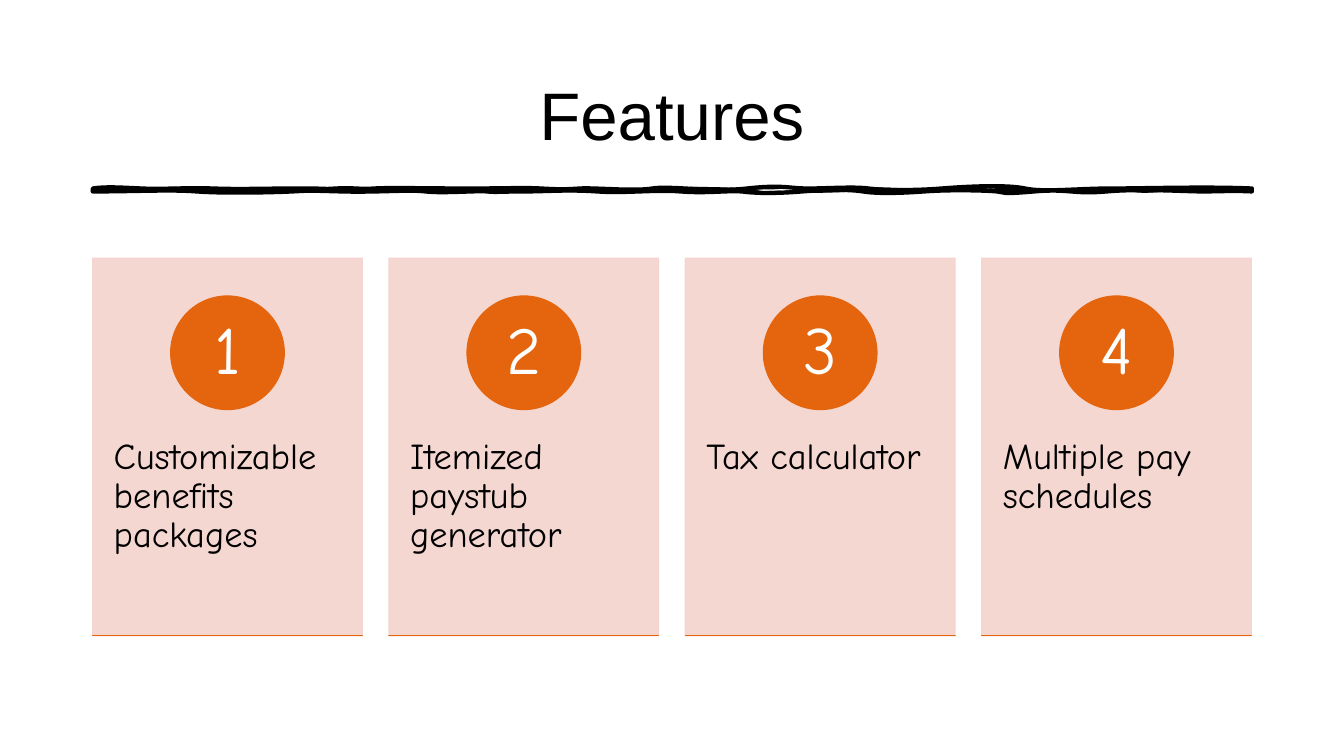
"""Build the Features slide: a title, a brush rule and four numbered cards."""
from copy import deepcopy

from lxml import etree
from pptx import Presentation
from pptx.dml.color import RGBColor
from pptx.enum import shapes, text
from pptx.oxml.ns import qn
from pptx.util import Pt

TITLE = "Features"
FEATURES = [
    "Customizable benefits packages",
    "Itemized paystub generator",
    "Tax calculator",
    "Multiple pay schedules",
]
COLORS = {"ink": "000000", "card": "F5D3CC", "accent": "E4650E", "number": "FFFFFF"}
HEAD_FONT, BODY_FONT = "Arial", "Comic Neue"

MARGIN, CONTENT_W = 66, 828
CARD_LEFT, CARD_TOP, CARD_W, CARD_H, CARD_PITCH = 66.24, 184.5, 192.5, 269.5, 211.68
CIRCLE_TOP, CIRCLE_D, NUMBER_D = 211.5, 81, 57
LABEL_TOP, LABEL_H = 287, 162

# Each curve: first control x, its rise, second control x, its rise, end x.
RULE_LEFT, RULE_RIGHT, RULE_TOP, RULE_BOTTOM, UNIT = 92, 1242, 187, 190, 0.72
OUTLINE = (
    [(105, -2, 119, -1, 141), (162, 1, 184, -1, 212), (241, 1, 255, 0, 296),
     (336, 0, 315, 1, 333), (351, -1, 356, 1, 371), (385, -1, 430, 0, 465),
     (500, 0, 520, -1, 537), (555, 1, 560, 1, 575), (590, -1, 629, 3, 647),
     (664, -3, 705, 4, 741), (777, -4, 782, 0, 802), (821, 0, 847, -2, 862),
     (878, 2, 909, 2, 934), (959, -2, 999, -4, 1017), (1036, 4, 1068, 0, 1101),
     (1134, 0, 1197, -2, 1242)],
    [(1223, -1, 1210, 0, 1193), (1176, 0, 1132, -3, 1098), (1064, 3, 1061, -3, 1026),
     (991, 3, 998, 1, 989), (979, -1, 944, -2, 917), (889, 2, 869, 2, 856),
     (844, -2, 821, -2, 796), (771, 2, 751, 2, 736), (720, -1, 701, 2, 675),
     (649, -2, 621, 2, 592), (563, -2, 543, 0, 520), (497, 0, 492, 1, 483),
     (474, -1, 440, 2, 422), (405, -2, 376, 1, 339), (302, -1, 310, -1, 290),
     (270, 1, 222, 2, 195), (169, -2, 136, 0, 92)],
)
INFILL = (
    [(117, 2, 128, 2, 152), (176, -2, 175, -2, 189), (204, 2, 249, -2, 284),
     (319, 2, 323, 1, 345), (367, -1, 392, -2, 405), (418, 2, 458, 1, 500),
     (542, -1, 530, 0, 549), (567, 0, 609, 2, 644), (678, -2, 711, -2, 739),
     (766, 2, 782, 3, 810), (839, -3, 869, -1, 905), (942, 1, 950, -1, 966),
     (982, 1, 998, -2, 1026), (1054, 2, 1075, 3, 1109), (1144, -3, 1157, -3, 1170),
     (1183, 3, 1226, 0, 1242)],
    [(1219, 2, 1193, -3, 1158), (1124, 3, 1129, 0, 1121), (1113, 0, 1096, 2, 1072),
     (1048, -2, 997, 4, 977), (957, -4, 924, 4, 905), (887, -4, 874, 0, 856),
     (839, 0, 807, 3, 785), (763, -3, 759, -2, 747), (736, 2, 725, 1, 710),
     (694, -1, 657, -3, 638), (619, 3, 601, -1, 589), (577, 1, 546, 1, 506),
     (465, -1, 479, 0, 457), (434, 0, 396, 2, 373), (351, -2, 348, -1, 336),
     (324, 1, 287, 2, 253), (218, -2, 223, 1, 204), (184, -1, 184, -1, 166),
     (149, 1, 127, 2, 92)],
)


def rgb(name):
    return RGBColor.from_string(COLORS[name])


def edge_points(base, curves):
    """Give two control points and an end point for each curve of an edge."""
    return [point for x1, rise1, x2, rise2, end in curves
            for point in ((x1, base + rise1), (x2, base + rise2), (end, base))]


def contour(edges):
    top, bottom = edges
    points = edge_points(RULE_TOP, top)
    points += [(RULE_RIGHT, RULE_TOP + i) for i in (1, 2, 3)]
    points += edge_points(RULE_BOTTOM, bottom)
    points += [(RULE_LEFT, RULE_BOTTOM - i) for i in (1, 2, 3)]
    return [(Pt(x * UNIT), Pt(y * UNIT)) for x, y in points]


def bend(path):
    """Join each three line segments of a path into one cubic curve."""
    lines = path.findall(qn("a:lnTo"))
    for i in range(0, len(lines), 3):
        curve = etree.Element(qn("a:cubicBezTo"))
        lines[i].addprevious(curve)
        for line in lines[i:i + 3]:
            curve.append(line[0])
            path.remove(line)


def brush_rule(s):
    start = Pt(RULE_LEFT * UNIT), Pt(RULE_TOP * UNIT)
    fb = s.shapes.build_freeform(*start)
    fb.add_line_segments(contour(OUTLINE), close=True)
    fb.move_to(*start)
    fb.add_line_segments(contour(INFILL), close=True)
    sp = fb.convert_to_shape()
    sp.shadow.inherit = False
    sp.fill.solid()
    sp.fill.fore_color.rgb = rgb("ink")
    sp.line.color.rgb = rgb("ink")
    sp.line.width = Pt(3)

    outline = next(sp._element.iter(qn("a:path")))
    infill = deepcopy(outline)
    outline.addnext(infill)
    half = [child.tag for child in outline].index(qn("a:close")) + 1
    for child in outline[half:]:
        outline.remove(child)
    for child in infill[:half]:
        infill.remove(child)
    outline.set("fill", "none")
    infill.set("stroke", "0")
    bend(outline)
    bend(infill)


def block(s, kind, x, y, w, h, color, opacity=None):
    sp = s.shapes.add_shape(kind, Pt(x), Pt(y), Pt(w), Pt(h))
    sp.shadow.inherit = False
    sp.fill.solid()
    sp.fill.fore_color.rgb = rgb(color)
    sp.line.color.rgb = rgb(color)
    sp.line.width = Pt(1)
    if opacity:
        for clr in sp._element.spPr.iter(qn("a:srgbClr")):
            etree.SubElement(clr, qn("a:alpha")).set("val", str(opacity * 1000))


def write(sp, words, font, size, color, align, anchor, inset, spacing=0.9):
    tf = sp.text_frame
    tf.text = words
    tf.word_wrap = True
    tf.auto_size = text.MSO_AUTO_SIZE.NONE
    tf.vertical_anchor = anchor
    tf.margin_left = tf.margin_right = Pt(inset[0])
    tf.margin_top = tf.margin_bottom = Pt(inset[1])
    p = tf.paragraphs[0]
    p.alignment = align
    p.line_spacing = spacing
    r = p.runs[0]
    r.font.name, r.font.size = font, Pt(size)
    r.font.color.rgb = rgb(color)


def card(s, index, words):
    x = CARD_LEFT + index * CARD_PITCH
    block(s, shapes.MSO_SHAPE.RECTANGLE, x, CARD_TOP, CARD_W, CARD_H, "card", 90)
    label = s.shapes.add_textbox(Pt(x), Pt(LABEL_TOP), Pt(CARD_W), Pt(LABEL_H))
    write(label, words, BODY_FONT, 26, "ink", text.PP_ALIGN.LEFT,
          text.MSO_ANCHOR.TOP, (15, 25.8))
    block(s, shapes.MSO_SHAPE.OVAL, x + (CARD_W - CIRCLE_D) / 2, CIRCLE_TOP,
          CIRCLE_D, CIRCLE_D, "accent")
    number = s.shapes.add_textbox(Pt(x + (CARD_W - NUMBER_D) / 2),
                                  Pt(CIRCLE_TOP + (CIRCLE_D - NUMBER_D) / 2),
                                  Pt(NUMBER_D), Pt(NUMBER_D))
    write(number, str(index + 1), BODY_FONT, 48, "number", text.PP_ALIGN.CENTER,
          text.MSO_ANCHOR.MIDDLE, (6.5, 0.7))
    block(s, shapes.MSO_SHAPE.RECTANGLE, x, CARD_TOP + CARD_H, CARD_W, 0, "accent")


def main():
    prs = Presentation()
    prs.slide_width, prs.slide_height = Pt(960), Pt(540)
    s = prs.slides.add_slide(prs.slide_layouts[5])
    title = s.shapes.title
    title.left, title.top = Pt(MARGIN), Pt(28.8)
    title.width, title.height = Pt(CONTENT_W), Pt(104.4)
    write(title, TITLE, HEAD_FONT, 48, "ink", text.PP_ALIGN.CENTER,
          text.MSO_ANCHOR.MIDDLE, (7.2, 3.6), 1.0)
    brush_rule(s)
    cards = s.shapes.add_group_shape()
    for index, words in enumerate(FEATURES):
        card(cards, index, words)
    prs.save("out.pptx")


if __name__ == "__main__":
    main()
